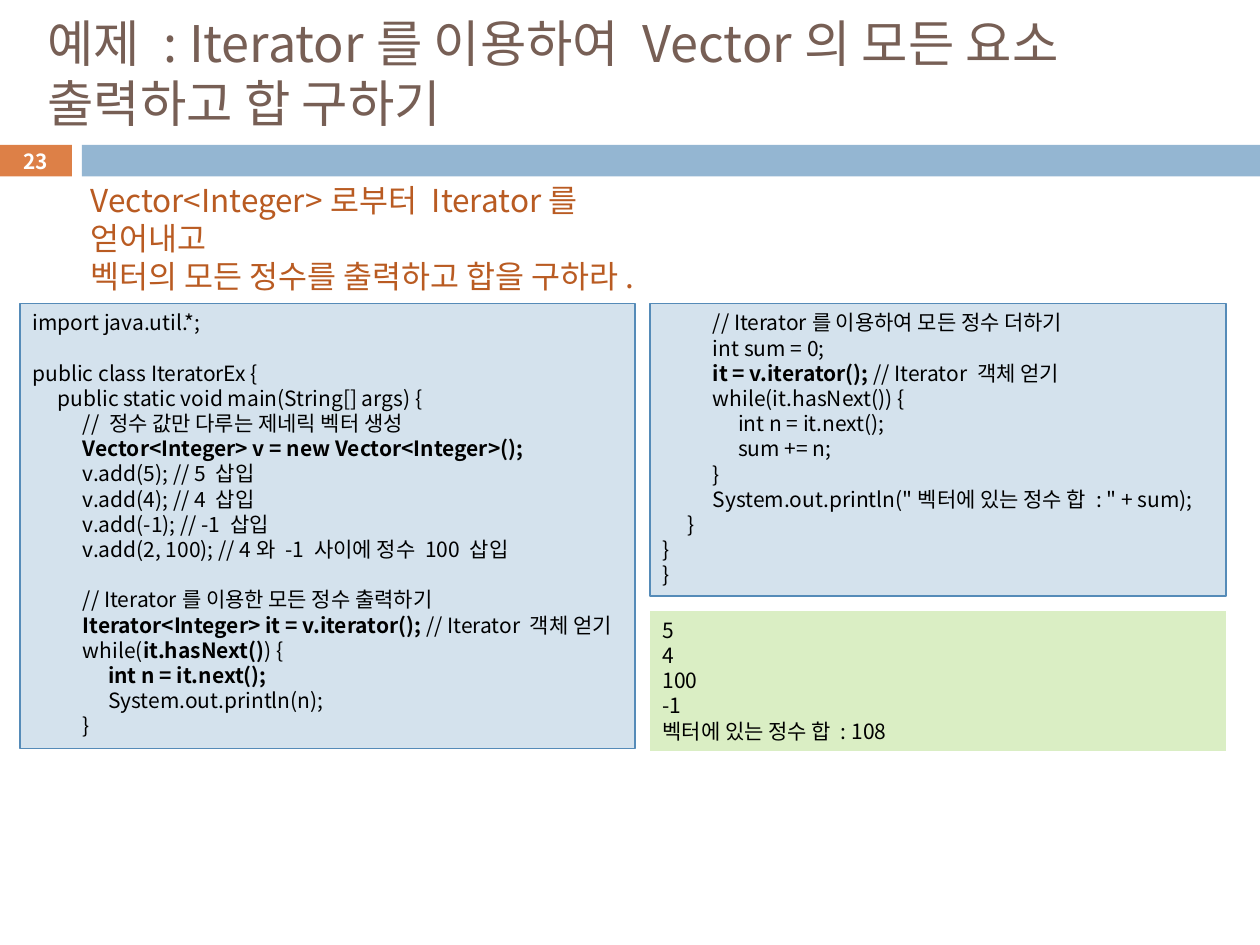
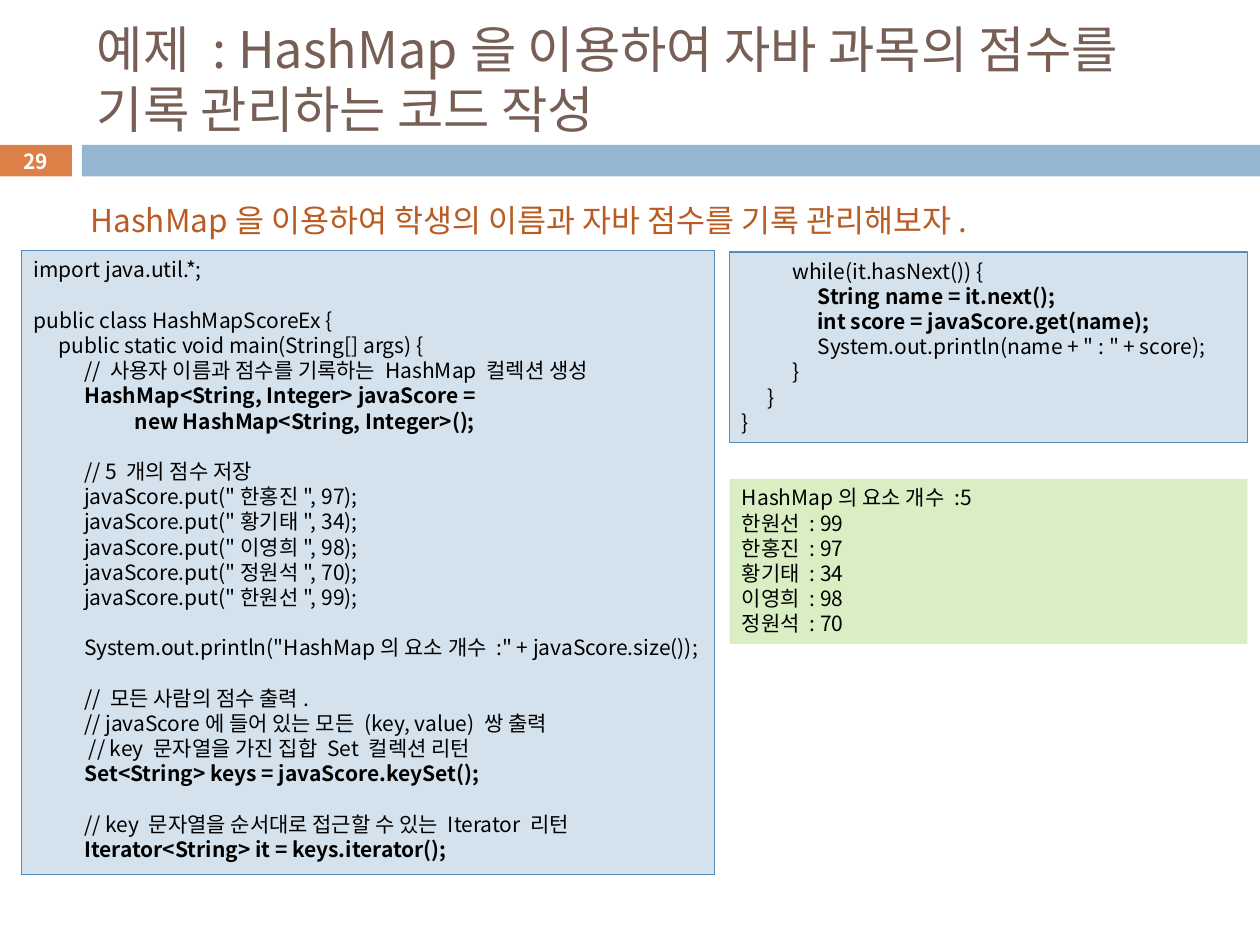
"""Build two Java collection example slides with code and output panels."""
from pptx import Presentation
from pptx.dml.color import RGBColor
from pptx.enum.shapes import MSO_SHAPE
from pptx.enum.text import MSO_ANCHOR, PP_ALIGN
from pptx.oxml.xmlchemy import OxmlElement
from pptx.util import Inches, Pt

RECT = MSO_SHAPE.RECTANGLE
TOP, MIDDLE = MSO_ANCHOR.TOP, MSO_ANCHOR.MIDDLE
LEFT, CENTER = PP_ALIGN.LEFT, PP_ALIGN.CENTER
FONT = "Noto Sans CJK KR"
TAB = 0.2
INDENT = "    "
BOLD = "**"
COLORS = {
    "title": "775F55",
    "lead": "B95B22",
    "number": "DD8047",
    "band": "94B6D2",
    "code": "D4E2ED",
    "border": "558BB8",
    "output": "DAEEC4",
    "text": "000000",
    "white": "FFFFFF",
}

ITERATOR_MAIN = """import java.util.*;

public class IteratorEx {
    public static void main(String[] args) {
        // 정수 값만 다루는 제네릭 벡터 생성
        **Vector<Integer> v = new Vector<Integer>();**
        v.add(5); // 5 삽입
        v.add(4); // 4 삽입
        v.add(-1); // -1 삽입
        v.add(2, 100); // 4와 -1 사이에 정수 100 삽입

        // Iterator를 이용한 모든 정수 출력하기
        **Iterator<Integer> it = v.iterator(); **// Iterator 객체 얻기
        while(**it.hasNext()**) {
            **int n = it.next();**
            System.out.println(n);
        }"""

ITERATOR_SUM = """        // Iterator를 이용하여 모든 정수 더하기
        int sum = 0;
        **it = v.iterator(); **// Iterator 객체 얻기
        while(it.hasNext()) {
            int n = it.next();
            sum += n;
        }
        System.out.println("벡터에 있는 정수 합 : " + sum);
    }
}
}"""

ITERATOR_OUTPUT = """5
4
100
-1
벡터에 있는 정수 합 : 108"""

SCORE_MAIN = """import java.util.*;

public class HashMapScoreEx {
    public static void main(String[] args) {
        // 사용자 이름과 점수를 기록하는 HashMap 컬렉션 생성
        **HashMap<String, Integer> javaScore =**
                **new HashMap<String, Integer>();**

        // 5 개의 점수 저장
        javaScore.put("한홍진", 97);
        javaScore.put("황기태", 34);
        javaScore.put("이영희", 98);
        javaScore.put("정원석", 70);
        javaScore.put("한원선", 99);

        System.out.println("HashMap의 요소 개수 :" + javaScore.size());

        // 모든 사람의 점수 출력.
        // javaScore에 들어 있는 모든 (key, value) 쌍 출력
         // key 문자열을 가진 집합 Set 컬렉션 리턴
        **Set<String> keys = javaScore.keySet();**

        // key 문자열을 순서대로 접근할 수 있는 Iterator 리턴
        **Iterator<String> it = keys.iterator();**"""

SCORE_LOOP = """        while(it.hasNext()) {
            **String name = it.next();**
            **int score = javaScore.get(name);**
            System.out.println(name + " : " + score);
        }
    }
}"""

SCORE_OUTPUT = """HashMap의 요소 개수 :5
한원선 : 99
한홍진 : 97
황기태 : 34
이영희 : 98
정원석 : 70"""


def rgb(name):
    return RGBColor.from_string(COLORS[name])


class Deck:
    def __init__(self):
        self.prs = Presentation()
        self.prs.slide_width, self.prs.slide_height = Inches(10), Inches(7.5)
        self.s = None

    def new_slide(self, number):
        self.s = self.prs.slides.add_slide(self.prs.slide_layouts[6])
        sp = self.rect((-0.01, 1.15, 0.58, 0.25), "number")
        self.set_text(sp, number, 11.9, "white", MIDDLE, CENTER, bold=True)
        sp.text_frame.margin_top = sp.text_frame.margin_bottom = 0
        self.rect((0.65, 1.15, 9.35, 0.25), "band")

    def rect(self, box, fill, line=None):
        sp = self.s.shapes.add_shape(RECT, *map(Inches, box))
        sp.shadow.inherit = False
        sp.fill.solid()
        sp.fill.fore_color.rgb = rgb(fill)
        if line:
            sp.line.color.rgb = rgb(line)
            sp.line.width = Pt(0.75)
        else:
            sp.line.fill.background()
        return sp

    def set_text(self, sp, text, size, color, anchor=TOP, align=LEFT, bold=False):
        tf = sp.text_frame
        tf.word_wrap = True
        tf.vertical_anchor = anchor
        for i, line in enumerate(text.split("\n")):
            p = tf.add_paragraph() if i else tf.paragraphs[0]
            p.alignment = align
            p.line_spacing = Pt(round(size * 1.2, 1))
            if line.startswith(INDENT):
                self.add_tabs(p)
            p.font.size = Pt(size)
            p.font.name = FONT
            p.font.bold = bold
            p.font.color.rgb = rgb(color)
            ea = OxmlElement("a:ea")
            ea.set("typeface", FONT)
            p._p.pPr.find(ea.tag.replace("}ea", "}defRPr")).append(ea)
            for j, part in enumerate(line.replace(INDENT, "\t").split(BOLD)):
                if part:
                    r = p.add_run()
                    r.text = part
                    if j % 2:
                        r.font.bold = True

    def add_tabs(self, p):
        tabs = OxmlElement("a:tabLst")
        for n in range(1, 5):
            tab = OxmlElement("a:tab")
            tab.set("pos", str(Inches(TAB * n)))
            tab.set("algn", "l")
            tabs.append(tab)
        p._p.get_or_add_pPr().append(tabs)

    def text(self, box, text, size, color, anchor=TOP):
        sp = self.s.shapes.add_textbox(*map(Inches, box))
        self.set_text(sp, text, size, color, anchor)

    def title(self, box, text):
        self.text(box, text, 28.8, "title", MIDDLE)

    def lead(self, box, text):
        self.text(box, text, 18, "lead")

    def panel(self, box, text, fill, line=None):
        sp = self.rect(box, fill, line)
        self.set_text(sp, text, 12, "text")
        sp.text_frame.margin_right = 0

    def code(self, box, text):
        self.panel(box, text, "code", "border")

    def output(self, box, text):
        self.panel(box, text, "output")


def main():
    deck = Deck()

    deck.new_slide("23")
    deck.title((0.28, 0.13, 9.5, 0.89),
               "예제 : Iterator를 이용하여 Vector의 모든 요소 출력하고 합 구하기")
    deck.lead((0.62, 1.39, 4.9, 0.71),
              "Vector<Integer>로부터 Iterator를 얻어내고\n"
              "벡터의 모든 정수를 출력하고 합을 구하라.")
    deck.code((0.16, 2.41, 4.88, 3.53), ITERATOR_MAIN)
    deck.code((5.16, 2.41, 4.57, 2.32), ITERATOR_SUM)
    deck.output((5.16, 4.85, 4.57, 1.11), ITERATOR_OUTPUT)

    deck.new_slide("29")
    deck.title((0.67, 0.25, 8.92, 0.74),
               "예제 : HashMap을 이용하여 자바 과목의 점수를 기록 관리하는 코드 작성")
    deck.lead((0.62, 1.55, 8.71, 0.4),
              "HashMap을 이용하여 학생의 이름과 자바 점수를 기록 관리해보자.")
    deck.code((0.17, 1.99, 5.5, 4.95), SCORE_MAIN)
    deck.code((5.79, 2, 4.11, 1.51), SCORE_LOOP)
    deck.output((5.79, 3.8, 4.11, 1.31), SCORE_OUTPUT)

    deck.prs.save("out.pptx")


if __name__ == "__main__":
    main()
